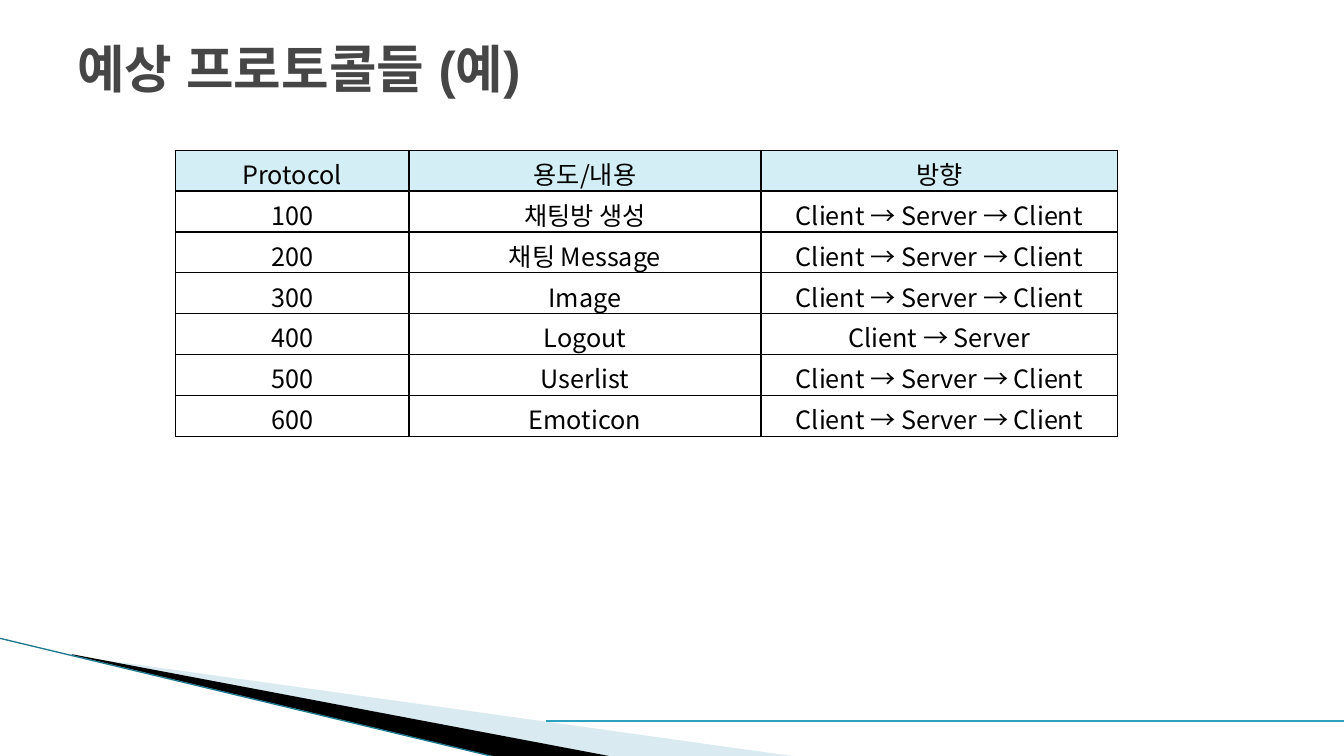
"""Build the slide that lists the expected chat protocols."""
from lxml.etree import SubElement as Sub
from pptx import Presentation
from pptx.dml.color import RGBColor
from pptx.enum.shapes import MSO_CONNECTOR as Link
from pptx.enum.text import MSO_ANCHOR as Anchor, PP_ALIGN as Align
from pptx.oxml.ns import qn
from pptx.util import Pt

BOTH = "Client → Server → Client"
TITLE = "예상 프로토콜들 (예)"
ROWS = [
    ("Protocol", "용도/내용", "방향"),
    ("100", "채팅방 생성", BOTH),
    ("200", "채팅 Message", BOTH),
    ("300", "Image", BOTH),
    ("400", "Logout", "Client → Server"),
    ("500", "Userlist", BOTH),
    ("600", "Emoticon", BOTH),
]
WIDTHS = [166.8, 251.5, 254.9]
HIGH = 29.2
WEDGES = [
    ([(52.6, 468.4), (571, 540.7), (437.8, 540.7), (52.6, 468)], "A0CBDC", 40),
    ([(51.1, 467.3), (438.5, 540.7), (357.1, 541.4), (51.8, 468)], "000000", 100),
]
LINES = [
    ((-0.7, 455.8), (356.4, 541.4), "21798F", 0.95),
    ((390.2, 514.8), (960, 514.8), "2DA2BF", 1.5),
]


def paint(fill, hue):
    fill.solid()
    fill.fore_color.rgb = RGBColor.from_string(hue)


def write(frame, text, size=18, font="Noto Sans CJK KR", hue="000000",
          bold=False, align=Align.CENTER):
    para = frame.paragraphs[0]
    para.alignment = align
    run = para.add_run()
    run.text = text
    run.font.size, run.font.name, run.font.bold = Pt(size), font, bold
    run.font.color.rgb = RGBColor.from_string(hue)
    Sub(run.font._element, qn("a:ea"), typeface=font)


def wedge(shapes, spots, hue, alpha):
    first, *rest = [(Pt(x), Pt(y)) for x, y in spots]
    pen = shapes.build_freeform(*first, scale=1.0)
    pen.add_line_segments(rest, close=True)
    shape = pen.convert_to_shape()
    shape.shadow.inherit = False
    shape.line.fill.background()
    paint(shape.fill, hue)
    tone = shape._element.spPr.find(qn("a:solidFill"))[0]
    Sub(tone, qn("a:alpha"), val=str(alpha * 1000))


def rule(shapes, start, end, hue, width):
    line = shapes.add_connector(Link.STRAIGHT, *map(Pt, start + end))
    line.line.width = Pt(width)
    paint(line.line.fill, hue)
    Sub(line._element.spPr, qn("a:effectLst"))


def frame(cell):
    props = cell._tc.get_or_add_tcPr()
    for spot, side in enumerate(("lnL", "lnR", "lnT", "lnB")):
        edge = props.makeelement(qn("a:" + side), {"w": str(Pt(1))})
        Sub(Sub(edge, qn("a:solidFill")), qn("a:srgbClr"), val="000000")
        props.insert(spot, edge)


def grid(shapes):
    table = shapes.add_table(len(ROWS), len(WIDTHS), Pt(125.3), Pt(107.3),
                             Pt(sum(WIDTHS)), Pt(HIGH * len(ROWS))).table
    for col, width in zip(table.columns, WIDTHS):
        col.width = Pt(width)
    for r, row in enumerate(ROWS):
        table.rows[r].height = Pt(HIGH)
        for c, text in enumerate(row):
            cell = table.cell(r, c)
            paint(cell.fill, "FFFFFF" if r else "D3EEF5")
            frame(cell)
            write(cell.text_frame, text)


deck = Presentation()
deck.slide_width, deck.slide_height = Pt(960), Pt(540)
shapes = deck.slides.add_slide(deck.slide_layouts[6]).shapes
for item in WEDGES:
    wedge(shapes, *item)
for item in LINES:
    rule(shapes, *item)
head = shapes.add_textbox(Pt(48), Pt(21.6), Pt(864), Pt(53.3)).text_frame
head.word_wrap = True
head.vertical_anchor = Anchor.MIDDLE
write(head, TITLE, size=36.9, font="Arial", hue="464646", bold=True,
      align=Align.LEFT)
grid(shapes)
deck.save("out.pptx")
